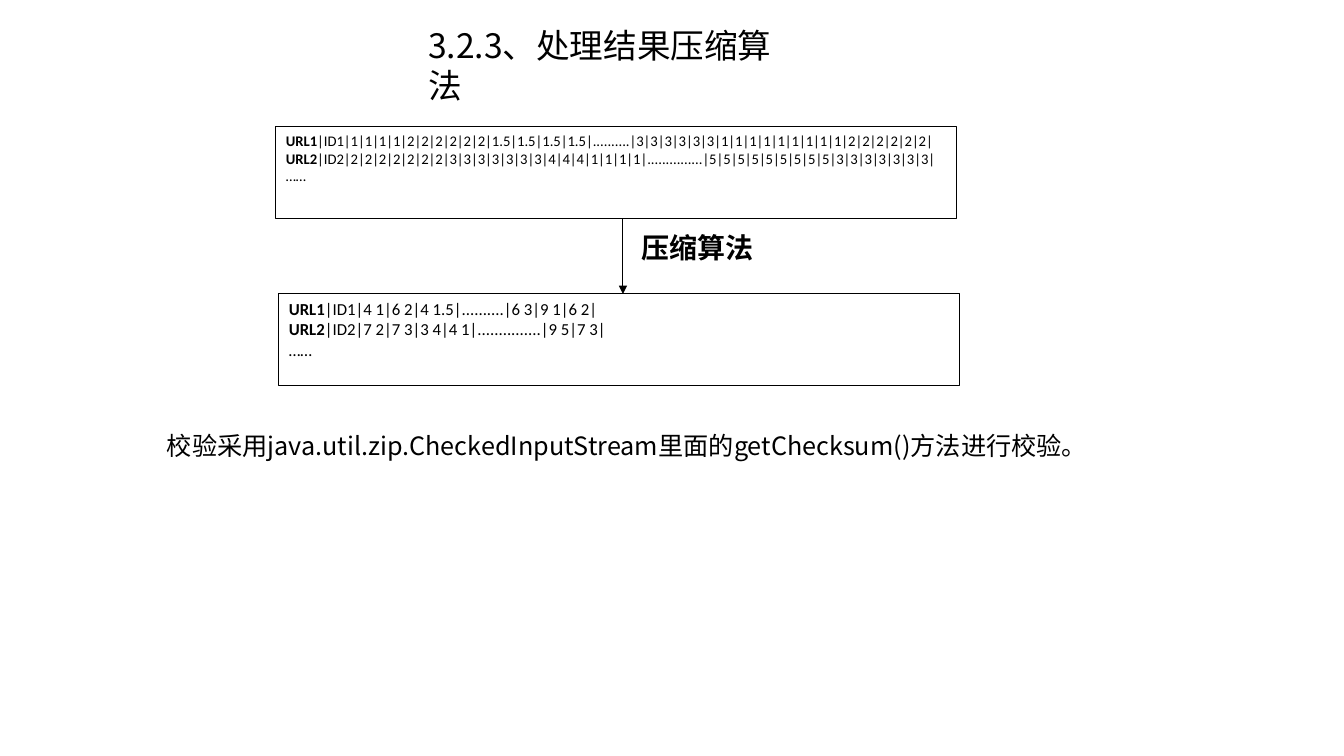
"""Build the slide on the compression of result records."""
from lxml.etree import SubElement
from pptx import Presentation
from pptx.dml.color import RGBColor
from pptx.enum.shapes import MSO_CONNECTOR, MSO_SHAPE
from pptx.enum.text import MSO_ANCHOR, MSO_AUTO_SIZE, PP_ALIGN
from pptx.oxml.ns import qn
from pptx.util import Emu, Pt

SCALE = 914400 / 100.8
BLACK, WHITE = "000000", "FFFFFF"
SANS, LATIN = "Noto Sans CJK SC", "Calibri"
RAW = [
    ("URL1", "|ID1|1|1|1|1|2|2|2|2|2|2|1.5|1.5|1.5|1.5|..........|3|3|3|3|3|3|1|1|1|1|1|1|1|1|1|2|2|2|2|2|2|"),
    ("URL2", "|ID2|2|2|2|2|2|2|2|3|3|3|3|3|3|3|4|4|4|1|1|1|1|...............|5|5|5|5|5|5|5|5|5|3|3|3|3|3|3|3|"),
    ("", "……"),
]
PACKED = [
    ("URL1", "|ID1|4 1|6 2|4 1.5|..........|6 3|9 1|6 2|"),
    ("URL2", "|ID2|7 2|7 3|3 4|4 1|...............|9 5|7 3|"),
    ("", "……"),
]


def px(size):
    """Turn pixels into EMU."""
    return Emu(round(size * SCALE))


def paint(color, code):
    """Set a colour from a hex string."""
    color.rgb = RGBColor.from_string(code)


def style(run, size, face, bold=False):
    """Format a run, with one face for Latin and Chinese."""
    font = run.font
    font.size, font.name, font.bold = Pt(size), face, bold
    paint(font.color, BLACK)
    SubElement(font._element, qn("a:ea"), typeface=face)


def place(shape, left, top, width, height):
    """Move and size a shape."""
    shape.left, shape.top = px(left), px(top)
    shape.width, shape.height = px(width), px(height)


def add_title(slide, text):
    """Fill the title placeholder."""
    title = slide.shapes.title
    place(title, 418, 20, 394, 50)
    frame = title.text_frame
    frame.text = text
    frame.word_wrap = True
    frame.auto_size = MSO_AUTO_SIZE.NONE
    frame.vertical_anchor = MSO_ANCHOR.TOP
    line = frame.paragraphs[0]
    line.alignment = PP_ALIGN.LEFT
    style(line.runs[0], 24, SANS)


def add_box(slide, spot, rows, size, edge=True):
    """Draw a white box whose rows each have a bold key and a plain tail."""
    box = slide.shapes.add_shape(MSO_SHAPE.RECTANGLE, *map(px, spot))
    box.shadow.inherit = False
    box.fill.solid()
    paint(box.fill.fore_color, WHITE)
    if edge:
        box.line.width = Pt(0.75)
        paint(box.line.color, BLACK)
    else:
        box.line.fill.background()
    frame = box.text_frame
    frame.word_wrap = True
    frame.vertical_anchor = MSO_ANCHOR.TOP
    frame.text = "\n".join(key for key, tail in rows)
    for line, (key, tail) in zip(frame.paragraphs, rows):
        line.alignment = PP_ALIGN.JUSTIFY
        for run in line.runs:
            style(run, size, LATIN, True)
        if tail:
            run = line.add_run()
            run.text = tail
            style(run, size, LATIN)


def add_arrow(slide, left, top, end):
    """Draw an arrow straight down."""
    arrow = slide.shapes.add_connector(
        MSO_CONNECTOR.STRAIGHT, px(left), px(top), px(left), px(end))
    arrow.line.width = Pt(0.75)
    paint(arrow.line.color, BLACK)
    SubElement(arrow.line._get_or_add_ln(), qn("a:tailEnd"), type="triangle")
    SubElement(arrow._element.spPr, qn("a:effectLst"))


def add_note(slide, text):
    """Add the indented closing sentence."""
    note = slide.shapes.add_textbox(px(109), px(425), px(1162), px(40))
    frame = note.text_frame
    frame.text = text
    frame.word_wrap = True
    frame.vertical_anchor = MSO_ANCHOR.MIDDLE
    line = frame.paragraphs[0]
    line._p.get_or_add_pPr().set("indent", str(px(48)))
    style(line.runs[0], 18, SANS)


def main():
    """Build and save the slide."""
    deck = Presentation()
    deck.slide_width, deck.slide_height = px(1344), px(756)
    slide = deck.slides.add_slide(deck.slide_layouts[5])
    add_title(slide, "3.2.3、处理结果压缩算法")
    add_arrow(slide, 623, 219, 294)
    add_box(slide, (276, 127, 681, 92), RAW, 10.5)
    add_box(slide, (279, 294, 681, 92), PACKED, 12)
    add_box(slide, (632, 226, 152, 49), [("压缩算法", "")], 20, False)
    add_note(slide, "校验采用java.util.zip.CheckedInputStream里面的getChecksum()方法进行校验。")
    deck.save("out.pptx")


if __name__ == "__main__":
    main()
